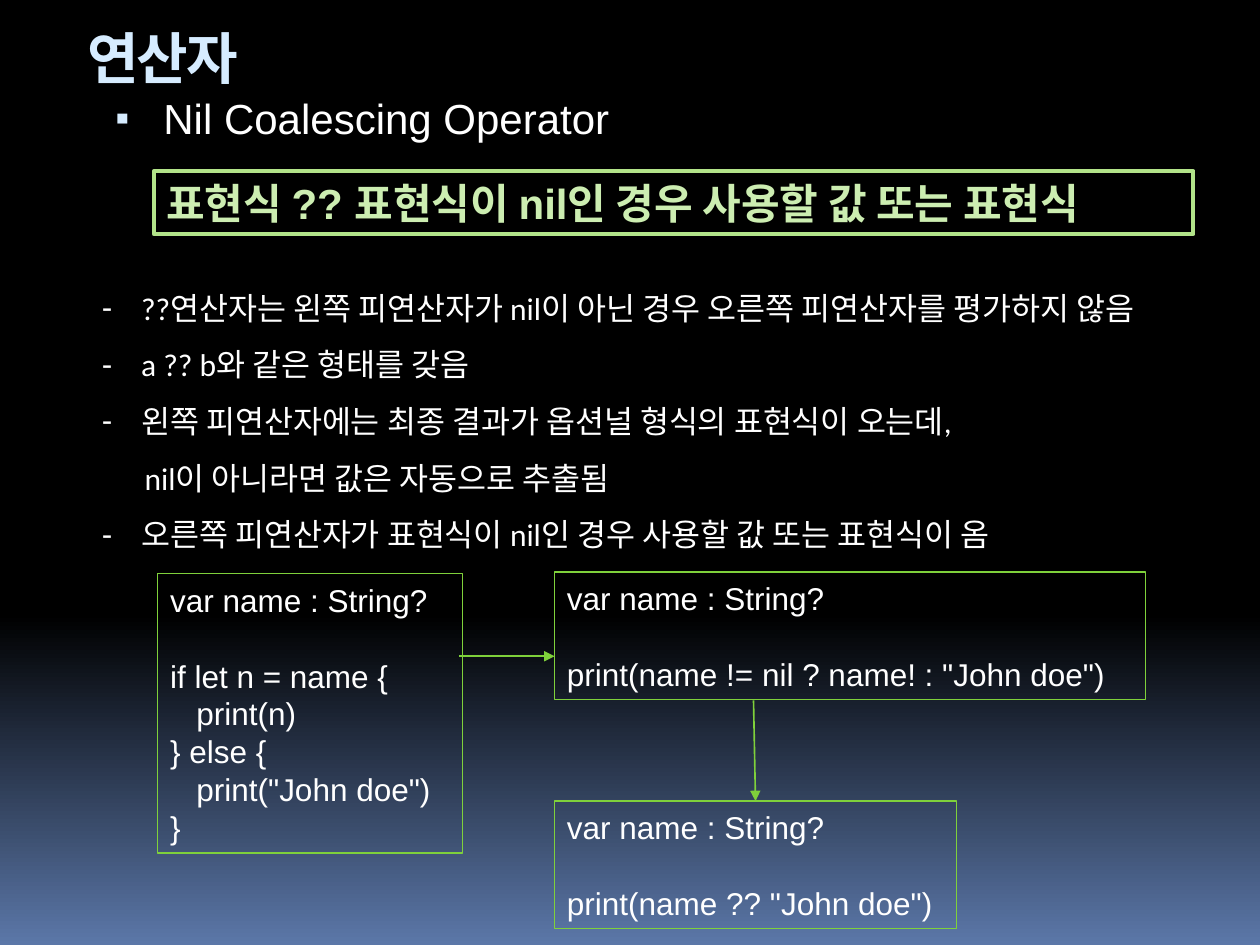
from copy import deepcopy

from lxml import etree
from pptx import Presentation
from pptx.dml.color import RGBColor
from pptx.enum.shapes import MSO_CONNECTOR, MSO_SHAPE
from pptx.enum.text import MSO_ANCHOR, MSO_AUTO_SIZE, PP_ALIGN
from pptx.oxml.ns import qn
from pptx.util import Cm, Pt

RECT = MSO_SHAPE.RECTANGLE
LINE = MSO_CONNECTOR.STRAIGHT
TOP, MIDDLE = MSO_ANCHOR.TOP, MSO_ANCHOR.MIDDLE
LEFT = PP_ALIGN.LEFT
NO_FIT = MSO_AUTO_SIZE.NONE

WHITE, PALE, GREEN = "FFFFFF", "D6ECFF", "7FD13B"
LEAD = 21.6

STOPS = [(0, "000000"), (0.65, "000000"), (1, "5B77A8")]
RULE = "표현식 ?? 표현식이 nil인 경우 사용할 값 또는 표현식"
# Each note: has a dash, text
NOTES = [
    (True, "??연산자는 왼쪽 피연산자가 nil이 아닌 경우 오른쪽 피연산자를 평가하지 않음"),
    (True, "a ?? b와 같은 형태를 갖음"),
    (True, "왼쪽 피연산자에는 최종 결과가 옵션널 형식의 표현식이 오는데,"),
    (False, "nil이 아니라면 값은 자동으로 추출됨"),
    (True, "오른쪽 피연산자가 표현식이 nil인 경우 사용할 값 또는 표현식이 옴"),
]
# Each code line: indent level, text
IF_LET = [
    (0, "if let n = name {"),
    (1, "print(n)"),
    (0, "} else {"),
    (1, 'print("John doe")'),
    (0, "}"),
]
TERNARY = [(0, 'print(name != nil ? name! : "John doe")')]
NIL_OP = [(0, 'print(name ?? "John doe")')]


def rgb(code):
    return RGBColor.from_string(code)


def place(shape, box):
    shape.left, shape.top, shape.width, shape.height = map(Cm, box)


def setup(frame, anchor):
    frame.word_wrap = True
    frame.auto_size = NO_FIT
    frame.vertical_anchor = anchor


def add_run(para, text, size, color, font="Arial", bold=False):
    run = para.add_run()
    run.text = text
    run.font.name = font
    run.font.size = Pt(size)
    run.font.bold = bold
    run.font.color.rgb = rgb(color)
    return run


def paras(frame, count):
    """Yield the first paragraph, then new ones, all flush left."""
    for i in range(count):
        para = frame.add_paragraph() if i else frame.paragraphs[0]
        para.alignment = LEFT
        para.space_before = Pt(0)
        yield para


def indent(para, left, first, mark=None, color=None, scale=100):
    """Set the left margin, first-line indent (cm) and bullet mark."""
    props = para._p.get_or_add_pPr()
    props.set("marL", str(Cm(left)))
    props.set("indent", str(Cm(first)))
    if not mark:
        etree.SubElement(props, qn("a:buNone"))
        return
    if color:
        tint = etree.SubElement(props, qn("a:buClr"))
        etree.SubElement(tint, qn("a:srgbClr"), val=color)
    etree.SubElement(props, qn("a:buSzPct"), val=str(scale * 1000))
    etree.SubElement(props, qn("a:buFont"), typeface="Arial")
    etree.SubElement(props, qn("a:buChar"), char=mark)


def paint_back(slide):
    fill = slide.background.fill
    fill.gradient()
    fill.gradient_angle = 270
    first = fill.gradient_stops[0]._gs
    first.addnext(deepcopy(first))
    for stop, (pos, color) in zip(fill.gradient_stops, STOPS):
        stop.position = pos
        stop.color.rgb = rgb(color)


def fill_title(shape, box):
    place(shape, box)
    setup(shape.text_frame, MIDDLE)
    para = next(paras(shape.text_frame, 1))
    run = add_run(para, "연산자", 32, PALE, bold=True)
    run.font._element.set("spc", "-100")


def fill_topic(shape, box):
    place(shape, box)
    setup(shape.text_frame, TOP)
    para = next(paras(shape.text_frame, 1))
    indent(para, 1.14, -0.97, "▪", PALE, 95)
    add_run(para, "Nil Coalescing Operator", 24, WHITE)


def fill_notes(shape, box):
    place(shape, box)
    frame = shape.text_frame
    setup(frame, TOP)
    for para, (dash, text) in zip(paras(frame, len(NOTES)), NOTES):
        para.line_spacing = 1.5
        if dash:
            indent(para, 0.79, -0.79, "-")
        else:
            indent(para, 0.86, 0)
        add_run(para, text, 18, WHITE, "Calibri")


def add_frame(slide, box, color, width):
    shape = slide.shapes.add_shape(RECT, *map(Cm, box))
    shape.shadow.inherit = False
    shape.fill.background()
    shape.line.color.rgb = rgb(color)
    shape.line.width = Pt(width)
    setup(shape.text_frame, MIDDLE)
    return shape


def add_rule(slide, box):
    shape = add_frame(slide, box, "B2E389", 2.25)
    para = next(paras(shape.text_frame, 1))
    add_run(para, RULE, 24, "CCEDB1", bold=True)


def add_code(slide, box, body):
    """Add a code box: the declaration, a gap, then the body lines."""
    shape = add_frame(slide, box, GREEN, 0.75)
    lines = [(0, "var name : String?")] + body
    for i, para in enumerate(paras(shape.text_frame, len(lines))):
        level, text = lines[i]
        para.line_spacing = Pt(LEAD)
        if i == 1:
            para.space_before = Pt(LEAD)
        if level:
            indent(para, 0.53 * level, 0)
        add_run(para, text, 18, WHITE)
    return shape


def add_arrow(slide, start, end):
    arrow = slide.shapes.add_connector(LINE, *map(Cm, start + end))
    arrow.line.color.rgb = rgb(GREEN)
    arrow.line.width = Pt(0.94)
    etree.SubElement(arrow.line._get_or_add_ln(), qn("a:tailEnd"), type="triangle")
    etree.SubElement(arrow._element.spPr, qn("a:effectLst"))
    return arrow


def add_flow(slide, box):
    """Place the three code versions and the arrows that link them."""
    x, y, wide, high = box
    mid = x + 8
    add_code(slide, (x, y + 0.03, 6.15, 5.64), IF_LET)
    add_code(slide, (mid, y, wide - 8, 2.57), TERNARY)
    last = add_code(slide, (mid, y + high - 2.57, 8.1, 2.57), NIL_OP)
    add_arrow(slide, (x + 6.07, y + 1.7), (mid, y + 1.7))
    down = add_arrow(slide, (mid + 4.01, y + 2.59), (mid + 4.05, y + high - 2.57))
    down.end_connect(last, 0)


def main():
    deck = Presentation()
    deck.slide_width, deck.slide_height = Cm(25.4), Cm(19.05)
    slide = deck.slides.add_slide(deck.slide_layouts[3])
    title, topic, notes = slide.placeholders
    paint_back(slide)
    fill_title(title, (1.5, 0.33, 24.1, 1.65))
    fill_topic(topic, (1.9, 1.73, 21.6, 1.5))
    add_rule(slide, (3.1, 3.45, 20.96, 1.27))
    fill_notes(notes, (1.8, 5.31, 22.89, 6.02))
    add_flow(slide, (3.18, 11.53, 19.91, 7.19))
    deck.save("out.pptx")


if __name__ == "__main__":
    main()
